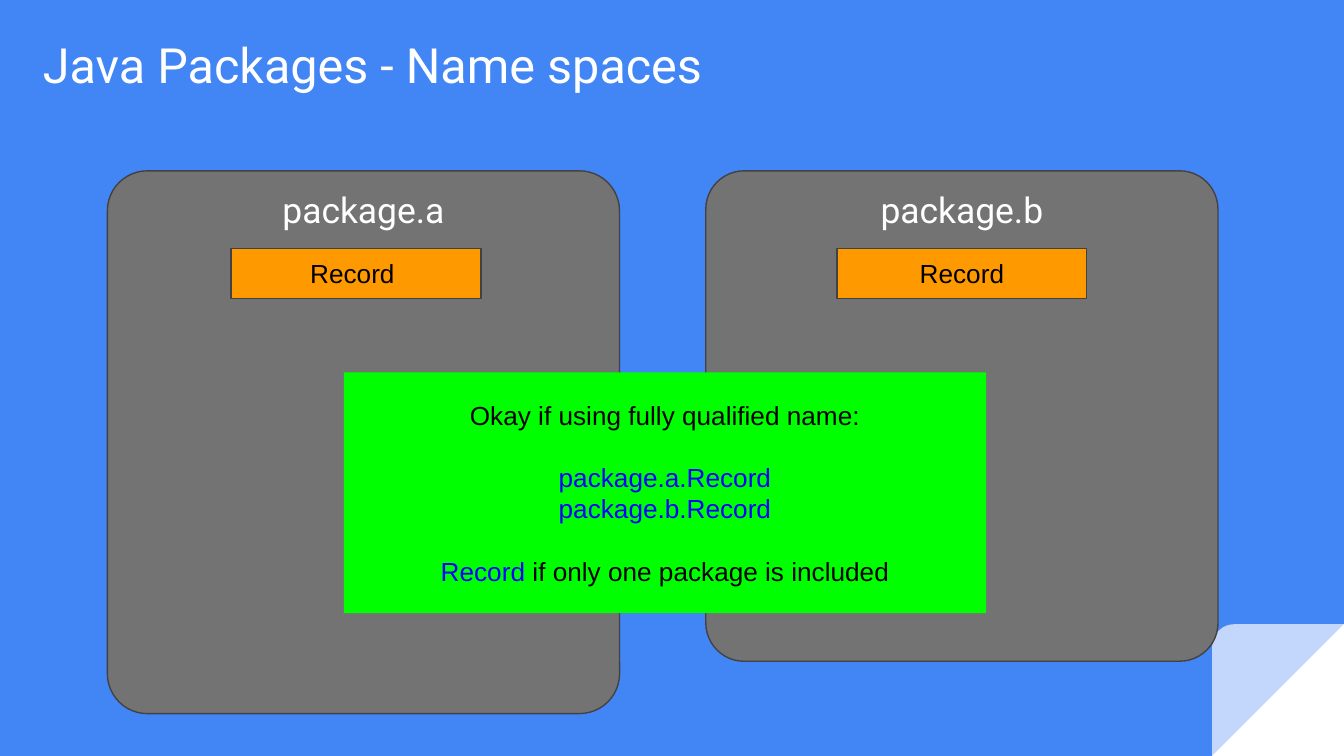
from lxml import etree
from pptx import Presentation
from pptx.dml.color import RGBColor
from pptx.enum.shapes import MSO_SHAPE
from pptx.enum.text import MSO_ANCHOR, MSO_AUTO_SIZE, PP_ALIGN
from pptx.oxml.ns import qn
from pptx.util import Cm, Pt

RECT, ROUND = MSO_SHAPE.RECTANGLE, MSO_SHAPE.ROUNDED_RECTANGLE
TRIANGLE, ONE_ROUND = MSO_SHAPE.RIGHT_TRIANGLE, MSO_SHAPE.ROUND_1_RECTANGLE
LEFT, CENTER = PP_ALIGN.LEFT, PP_ALIGN.CENTER
MIDDLE, BOTTOM = MSO_ANCHOR.MIDDLE, MSO_ANCHOR.BOTTOM

COLORS = {"blue": "4285F4", "white": "FFFFFF", "grey": "737373",
          "line": "424242", "orange": "FF9900", "green": "00FF00",
          "black": "000000", "code": "0000FF"}

# Content
TITLE = "Java Packages - Name spaces"
# name, class, panel left, panel height, class box left (cm)
PACKAGES = [("package.a", "Record ", 2.03, 10.26, 4.37),
            ("package.b", "Record", 13.34, 9.27, 15.82)]
# space before (pt), runs of (text, color)
NOTE = [(0, [("Okay if using fully qualified name:", "black")]),
        (16.5, [("package.a.Record", "code")]),
        (0, [("package.b.Record", "code")]),
        (16.5, [("Record", "code"), (" if only one package is included", "black")])]

W, H = 25.4, 14.29
CORNER = 2.49
PANEL_TOP, PANEL_W = 3.23, 9.68


def rgb(name):
    return RGBColor.from_string(COLORS[name])


def write(sp, paragraphs, size, font, align=CENTER, anchor=MIDDLE):
    tf = sp.text_frame
    tf.word_wrap = True
    tf.auto_size = MSO_AUTO_SIZE.NONE
    tf.vertical_anchor = anchor
    tf.margin_left = tf.margin_right = tf.margin_top = tf.margin_bottom = Cm(0.25)
    for i, (before, runs) in enumerate(paragraphs):
        p = tf.add_paragraph() if i else tf.paragraphs[0]
        p.alignment = align
        p.space_before = Pt(before)
        for text, color in runs:
            r = p.add_run()
            r.text = text
            r.font.size = Pt(size)
            r.font.name = font
            r.font.color.rgb = rgb(color)


def add_box(s, kind, x, y, w, h, fill, line=None):
    sp = s.shapes.add_shape(kind, Cm(x), Cm(y), Cm(w), Cm(h))
    sp.shadow.inherit = False
    sp.fill.solid()
    sp.fill.fore_color.rgb = rgb(fill)
    if line:
        sp.line.color.rgb = rgb(line)
        sp.line.width = Pt(0.75)
    else:
        sp.line.fill.background()
    return sp


prs = Presentation()
prs.slide_width, prs.slide_height = Cm(W), Cm(H)
s = prs.slides.add_slide(prs.slide_layouts[5])
s.background.fill.solid()
s.background.fill.fore_color.rgb = rgb("blue")

# Folded corner: white triangle under a translucent sheet
for kind in (TRIANGLE, ONE_ROUND):
    sp = add_box(s, kind, W - CORNER, H - CORNER, CORNER, CORNER, "white")
    sp._element.spPr.find(qn("a:xfrm")).set("flipH", "1")
clr = sp._element.spPr.find(qn("a:solidFill")).find(qn("a:srgbClr"))
etree.SubElement(clr, qn("a:alpha")).set("val", "68000")

# Title
title = s.shapes.title
title.left, title.top, title.width, title.height = Cm(0.56), Cm(0.61), Cm(24.03), Cm(1.4)
write(title, [(0, [(TITLE, "white")])], 26, "Roboto", LEFT, BOTTOM)

# Packages, each with its class
for name, cls, x, h, cls_x in PACKAGES:
    panel = add_box(s, ROUND, x, PANEL_TOP, PANEL_W, h, "grey", "line")
    panel.adjustments[0] = 0.078
    label = s.shapes.add_textbox(Cm(x + 0.14), Cm(PANEL_TOP + 0.15), Cm(9.4), Cm(1.17))
    write(label, [(0, [(name, "white")])], 19, "Roboto")
    box = add_box(s, RECT, cls_x, 4.7, 4.72, 0.94, "orange", "line")
    write(box, [(0, [(cls, "black")])], 14, "Arial")

# Note on qualified names
note = add_box(s, RECT, 6.5, 7.04, 12.14, 4.55, "green")
write(note, NOTE, 14, "Arial")

prs.save("out.pptx")
